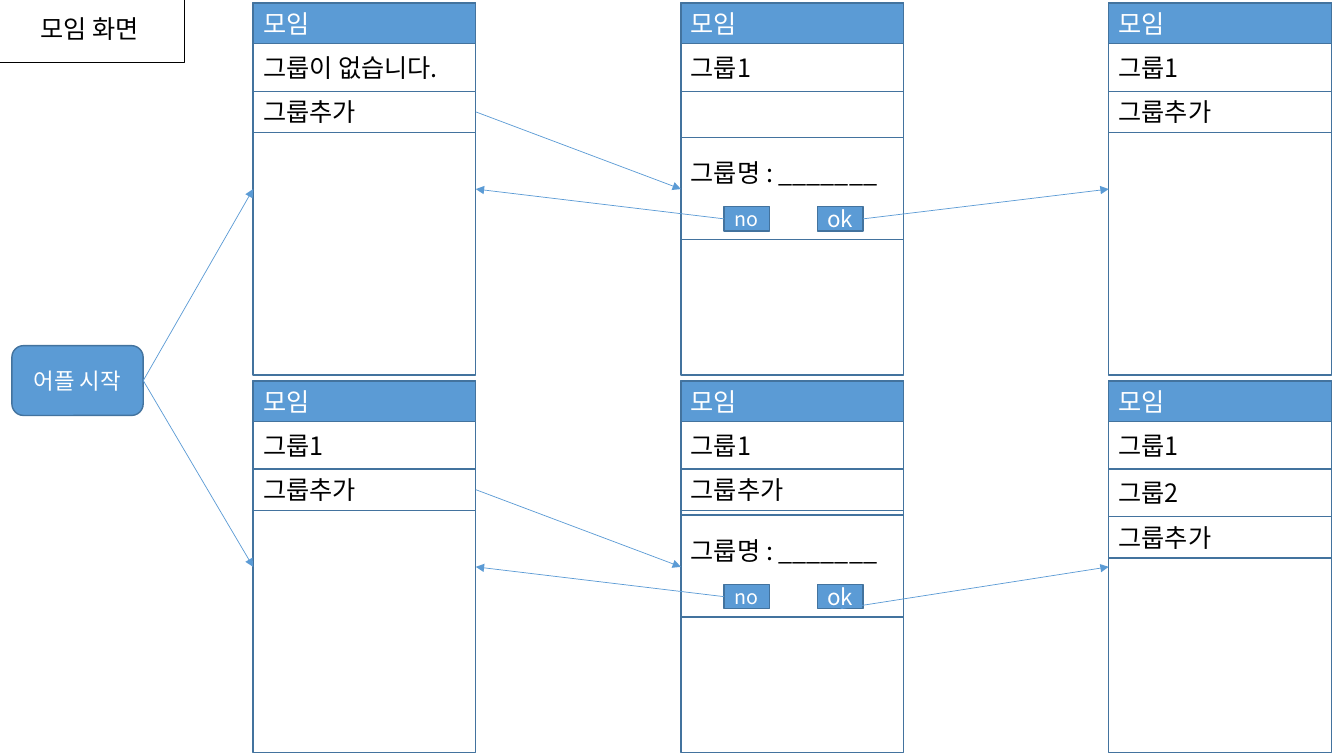
import pptx
import pptx.util
import pptx.dml.color
import pptx.enum.shapes
import pptx.enum.text
import lxml.etree
import pptx.oxml.ns

Cm = pptx.util.Cm
Pt = pptx.util.Pt
Kind = pptx.enum.shapes.MSO_SHAPE
Align = pptx.enum.text.PP_ALIGN

FONT = "Noto Sans CJK KR"
COLORS = {
    "blue": "5B9BD5",
    "border": "43739E",
    "white": "FFFFFF",
    "black": "000000",
}
TOP, LEFT, BOTTOM, RIGHT = range(4)
SCREEN_WIDTH, SCREEN_HEIGHT = 5.61, 9.37
COLUMN_LEFT, COLUMN_PITCH = 6.38, 10.78
ROW_TOPS = (0.08, 9.6)
HEADER_HEIGHT, GROUP_HEIGHT, ADD_HEIGHT = 1.02, 1.2, 1.04
ADD_LABEL = "그룹추가"
DIALOG_OFFSET, DIALOG_HEIGHT = 3.38, 2.57
BUTTONS = (("no", 1.09, 14), ("ok", 3.45, 16))


def color(name):
    return pptx.dml.color.RGBColor.from_string(COLORS[name])


def add_box(shapes, bounds, label="", size=18, fill="white", line="border",
            ink="black", align=Align.LEFT, kind=Kind.RECTANGLE):
    box = shapes.add_shape(kind, *(Cm(length) for length in bounds))
    box.shadow.inherit = False
    box.fill.solid()
    box.fill.fore_color.rgb = color(fill)
    box.line.color.rgb = color(line)
    box.line.width = Pt(1)
    if label:
        frame = box.text_frame
        frame.word_wrap = True
        frame.vertical_anchor = pptx.enum.text.MSO_ANCHOR.MIDDLE
        if align == Align.CENTER:
            frame.margin_left = frame.margin_right = 0
        para = frame.paragraphs[0]
        para.text = label
        para.alignment = align
        para.font.name = FONT
        para.font.size = Pt(size)
        para.font.color.rgb = color(ink)
        for span in para.runs:
            properties = span._r.get_or_add_rPr()
            east_asian = lxml.etree.SubElement(properties, pptx.oxml.ns.qn("a:ea"))
            east_asian.set("typeface", FONT)
    return box


def add_dialog(shapes, left, top, width):
    dialog = add_box(shapes, (left, top, width, DIALOG_HEIGHT), "그룹명 : _______")
    dialog.text_frame.margin_bottom = Cm(0.9)
    return {
        label: add_box(shapes, (left + offset, top + 1.75, 1.14, 0.61), label,
                       size, "blue", ink="white", align=Align.CENTER)
        for label, offset, size in BUTTONS
    }


def add_screen(page, left, top, labels, has_dialog=False):
    shapes = page.shapes.add_group_shape().shapes
    parts = {"frame": add_box(shapes, (left, top, SCREEN_WIDTH, SCREEN_HEIGHT))}
    add_box(shapes, (left, top, SCREEN_WIDTH, HEADER_HEIGHT), "모임",
            fill="blue", ink="white")
    row_top = top + HEADER_HEIGHT
    for label in labels:
        height = ADD_HEIGHT if label == ADD_LABEL else GROUP_HEIGHT
        parts[label] = add_box(shapes, (left, row_top, SCREEN_WIDTH, height), label)
        row_top += height
    if has_dialog:
        parts.update(add_dialog(shapes, left, top + DIALOG_OFFSET, SCREEN_WIDTH))
    return parts


def add_arrow(page, source, source_site, target, target_site):
    arrow = page.shapes.add_connector(
        pptx.enum.shapes.MSO_CONNECTOR.STRAIGHT, 0, 0, 0, 0)
    arrow.begin_connect(source, source_site)
    arrow.end_connect(target, target_site)
    arrow.line.color.rgb = color("blue")
    arrow.line.width = Pt(0.5)
    outline = arrow.line._get_or_add_ln()
    tail = lxml.etree.SubElement(outline, pptx.oxml.ns.qn("a:tailEnd"))
    tail.set("type", "triangle")
    lxml.etree.SubElement(arrow._element.spPr, pptx.oxml.ns.qn("a:effectLst"))


def add_flow(page, start, top, screens, ok_site):
    first, naming, result = (
        add_screen(page, COLUMN_LEFT + column * COLUMN_PITCH, top, labels, column == 1)
        for column, labels in enumerate(screens)
    )
    add_arrow(page, start, RIGHT, first["frame"], LEFT)
    add_arrow(page, first[ADD_LABEL], RIGHT, naming["frame"], LEFT)
    add_arrow(page, naming["no"], LEFT, first["frame"], RIGHT)
    add_arrow(page, naming["ok"], ok_site, result["frame"], LEFT)


def main():
    deck = pptx.Presentation()
    deck.slide_width, deck.slide_height = Cm(33.87), Cm(19.05)
    page = deck.slides.add_slide(deck.slide_layouts[6])
    add_box(page.shapes, (-0.15, -0.13, 4.8, 1.7), "모임 화면",
            line="black", align=Align.CENTER)
    start = add_box(page.shapes, (0.3, 8.71, 3.31, 1.76), "어플 시작", 16, "blue",
                    ink="white", align=Align.CENTER, kind=Kind.ROUNDED_RECTANGLE)
    flows = (
        ((("그룹이 없습니다.", ADD_LABEL), ("그룹1",), ("그룹1", ADD_LABEL)), RIGHT),
        ((("그룹1", ADD_LABEL), ("그룹1", ADD_LABEL),
          ("그룹1", "그룹2", ADD_LABEL)), BOTTOM),
    )
    for top, (screens, ok_site) in zip(ROW_TOPS, flows):
        add_flow(page, start, top, screens, ok_site)
    deck.save("out.pptx")


if __name__ == "__main__":
    main()
